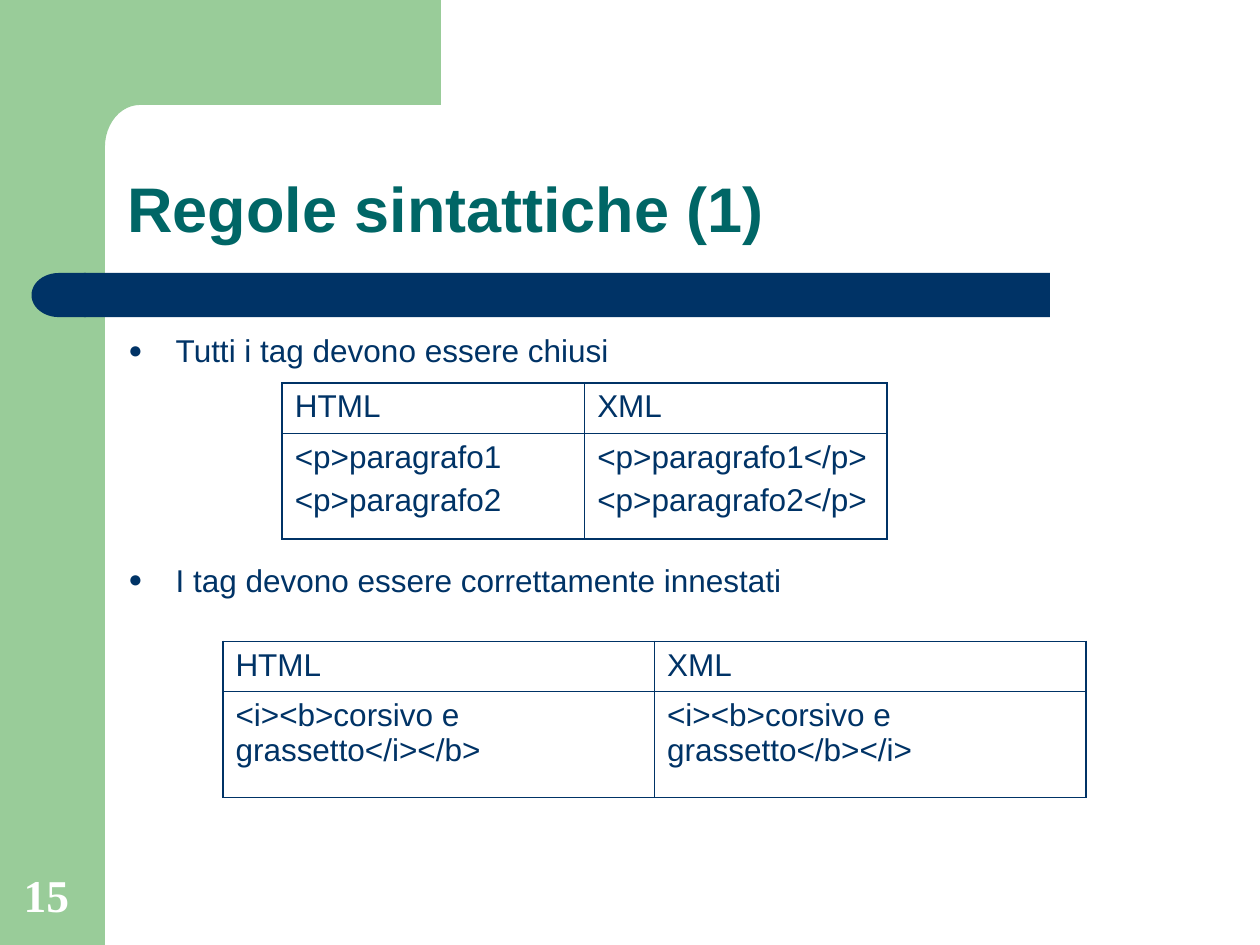
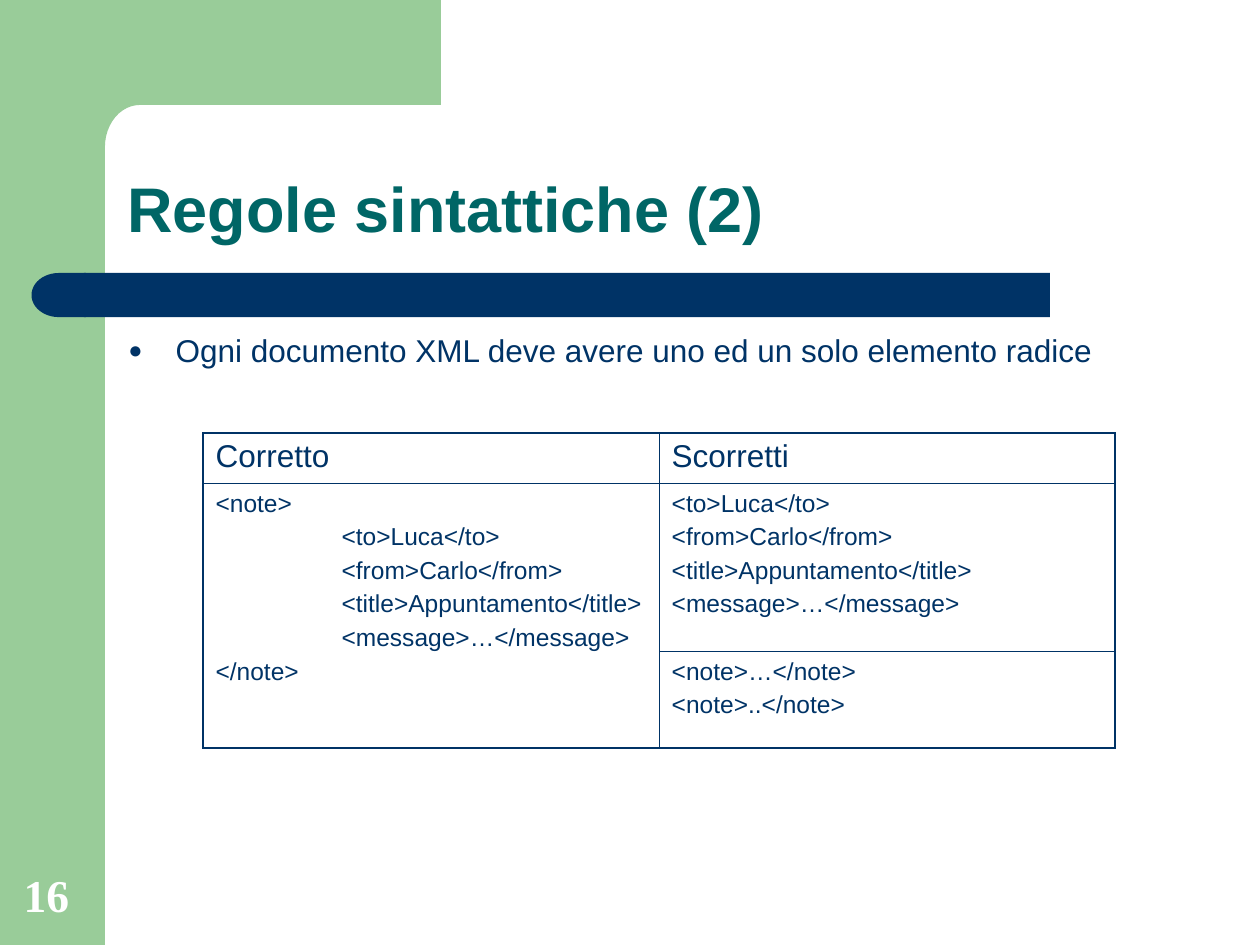
"""Build two slides on XML syntax rules with a shared green and navy frame."""

from dataclasses import dataclass
from math import cos, pi, sin
from typing import NamedTuple

from lxml.etree import SubElement
from pptx import Presentation
from pptx.dml.color import RGBColor
from pptx.enum.shapes import MSO_CONNECTOR, MSO_SHAPE
from pptx.enum.text import MSO_ANCHOR, MSO_AUTO_SIZE, PP_ALIGN
from pptx.oxml import parse_xml
from pptx.oxml.ns import nsdecls, qn
from pptx.util import Pt

GREEN = RGBColor(0x99, 0xCC, 0x99)
NAVY = RGBColor(0x00, 0x33, 0x66)
TEAL = RGBColor(0x00, 0x66, 0x66)
WHITE = RGBColor(0xFF, 0xFF, 0xFF)

OUTER_BORDER = 1.08
INNER_BORDER = 0.45
HEADER_HEIGHT = 28.8
BULLET_INDENT = 27


class Box(NamedTuple):
    left: float
    top: float
    width: float
    height: float

    def points(self) -> list:
        return [Pt(length) for length in self]


class Style(NamedTuple):
    size: float
    color: RGBColor = NAVY
    bold: bool = False
    font: str = "Arial"


@dataclass(frozen=True)
class Line:
    text: str
    space_before: float = 4.5
    indent: float = 0


@dataclass(frozen=True)
class Comparison:
    box: Box
    headings: tuple[str, str]
    examples: tuple[list[Line], list[Line]]
    example_size: float = 18


@dataclass(frozen=True)
class RuleSlide:
    number: int
    title: str
    rules: list[Line]
    comparisons: list[Comparison]
    divider: tuple[float, float, float] | None = None


TITLE_STYLE = Style(36, TEAL, True)
TEXT_STYLE = Style(18)
NUMBER_STYLE = Style(26, WHITE, True, "Times New Roman")

TITLE_BOX = Box(65.5, 65.5, 612.7, 78.5)
RULES_BOX = Box(66.2, 185.8, 594.7, 293)
NUMBER_BOX = Box(6.5, 491.8, 46.1, 38.2)
FRAME = [
    (MSO_SHAPE.RECTANGLE, Box(0, 0, 60, 540), GREEN, 0),
    (MSO_SHAPE.RECTANGLE, Box(48, 156, 552, 25.2), NAVY, 0),
    (MSO_SHAPE.FLOWCHART_DELAY, Box(18, 156, 31, 25.2), NAVY, 180),
]


def code(*texts: str, indent: float = 0) -> list[Line]:
    return [Line(text, 3.5, indent) for text in texts]


NOTE_FIELDS = (
    "<to>Luca</to>",
    "<from>Carlo</from>",
    "<title>Appuntamento</title>",
    "<message>…</message>",
)

SLIDES = [
    RuleSlide(
        15,
        "Regole sintattiche (1)",
        [
            Line("Tutti i tag devono essere chiusi"),
            Line("I tag devono essere correttamente innestati", 109.5),
        ],
        [
            Comparison(
                Box(161.3, 218.9, 345.6, 89.3),
                ("HTML", "XML"),
                (
                    [Line("<p>paragrafo1"), Line("<p>paragrafo2")],
                    [Line("<p>paragrafo1</p>"), Line("<p>paragrafo2</p>")],
                ),
            ),
            Comparison(
                Box(127.4, 366.5, 493.2, 89.3),
                ("HTML", "XML"),
                (
                    [Line("<i><b>corsivo e grassetto</i></b>")],
                    [Line("<i><b>corsivo e grassetto</b></i>")],
                ),
            ),
        ],
    ),
    RuleSlide(
        16,
        "Regole sintattiche (2)",
        [Line("Ogni documento XML deve avere uno ed un solo elemento radice")],
        [
            Comparison(
                Box(116, 247.5, 521.3, 180),
                ("Corretto", "Scorretti"),
                (
                    code("<note>") + code(*NOTE_FIELDS, indent=72) + code("</note>"),
                    code(*NOTE_FIELDS)
                    + [Line("<note>…</note>", 22.7)]
                    + code("<note>..</note>"),
                ),
                14,
            )
        ],
        (377.3, 637.9, 372.2),
    ),
]


def write_lines(frame, lines: list[Line], style: Style) -> None:
    for index, line in enumerate(lines):
        paragraph = frame.add_paragraph() if index else frame.paragraphs[0]
        layout = {
            "alignment": PP_ALIGN.LEFT,
            "space_before": Pt(line.space_before),
            "line_spacing": 1.0,
        }
        for name, value in layout.items():
            setattr(paragraph, name, value)
        properties = paragraph._p.get_or_add_pPr()
        properties.set("marL", str(Pt(line.indent)))
        properties.set("indent", "0")
        run = paragraph.add_run()
        run.text = line.text
        look = {"name": style.font, "size": Pt(style.size), "bold": style.bold}
        for name, value in look.items():
            setattr(run.font, name, value)
        run.font.color.rgb = style.color


def set_frame(frame, anchor: MSO_ANCHOR) -> None:
    values = {
        "word_wrap": True,
        "auto_size": MSO_AUTO_SIZE.NONE,
        "vertical_anchor": anchor,
        "margin_left": Pt(7.2),
        "margin_right": Pt(7.2),
        "margin_top": Pt(3.6),
        "margin_bottom": Pt(3.6),
    }
    for name, value in values.items():
        setattr(frame, name, value)


def place(shape, box: Box) -> None:
    for name, value in zip(("left", "top", "width", "height"), box.points()):
        setattr(shape, name, value)


def add_bullet(paragraph) -> None:
    properties = paragraph._p.get_or_add_pPr()
    properties.set("marL", str(Pt(BULLET_INDENT)))
    properties.set("indent", str(-Pt(BULLET_INDENT)))
    color = SubElement(properties, qn("a:buClr"))
    SubElement(color, qn("a:srgbClr"), val=str(NAVY))
    SubElement(properties, qn("a:buSzPct"), val="75000")
    SubElement(properties, qn("a:buFont"), typeface="Arial")
    SubElement(properties, qn("a:buChar"), char="●")


def paint(shape, color: RGBColor) -> None:
    shape.shadow.inherit = False
    shape.fill.solid()
    shape.fill.fore_color.rgb = color
    shape.line.fill.background()


def draw_frame(slide) -> None:
    for kind, box, color, rotation in FRAME:
        part = slide.shapes.add_shape(kind, *box.points())
        part.rotation = rotation
        paint(part, color)
    angles = [step * pi / 24 for step in range(13)]
    curve = [(80 - 20 * sin(angle), 84 - 24 * cos(angle)) for angle in angles]
    outline = [(252, 60), *curve, (60, 92), (36, 92), (36, 0)]
    corner = slide.shapes.build_freeform(Pt(252), 0, scale=1.0)
    corner.add_line_segments([(Pt(x), Pt(y)) for x, y in outline])
    paint(corner.convert_to_shape(), GREEN)


def set_borders(cell, row: int, column: int) -> None:
    outer_sides = {"L": column == 0, "R": column == 1, "T": row == 0, "B": row == 1}
    properties = cell._tc.get_or_add_tcPr()
    for position, (side, is_outer) in enumerate(outer_sides.items()):
        width = Pt(OUTER_BORDER if is_outer else INNER_BORDER)
        border = parse_xml(
            f'<a:ln{side} {nsdecls("a")} w="{width}"><a:solidFill>'
            f'<a:srgbClr val="{NAVY}"/></a:solidFill></a:ln{side}>'
        )
        properties.insert(position, border)


def draw_comparison(slide, comparison: Comparison) -> None:
    table = slide.shapes.add_table(2, 2, *comparison.box.points()).table
    for name in ("first_row", "horz_banding"):
        setattr(table, name, False)
    table.rows[0].height = Pt(HEADER_HEIGHT)
    table.rows[1].height = Pt(comparison.box.height - HEADER_HEIGHT)
    example_style = Style(comparison.example_size)
    for column in range(2):
        contents = (
            ([Line(comparison.headings[column])], TEXT_STYLE),
            (comparison.examples[column], example_style),
        )
        for row, (lines, style) in enumerate(contents):
            cell = table.cell(row, column)
            cell.fill.background()
            set_borders(cell, row, column)
            write_lines(cell.text_frame, lines, style)


def draw_divider(slide, left: float, right: float, y: float) -> None:
    divider = slide.shapes.add_connector(
        MSO_CONNECTOR.STRAIGHT, Pt(left), Pt(y), Pt(right), Pt(y)
    )
    divider.line.color.rgb = NAVY
    divider.line.width = Pt(0.75)
    SubElement(divider._element.spPr, qn("a:effectLst"))


def build_slide(presentation, content: RuleSlide) -> None:
    slide = presentation.slides.add_slide(presentation.slide_layouts[1])
    draw_frame(slide)
    title, rules = slide.shapes.title, slide.placeholders[1]
    place(title, TITLE_BOX)
    place(rules, RULES_BOX)
    number = slide.shapes.add_textbox(*NUMBER_BOX.points())
    texts = (
        (title, MSO_ANCHOR.BOTTOM, [Line(content.title, 0)], TITLE_STYLE),
        (rules, MSO_ANCHOR.TOP, content.rules, TEXT_STYLE),
        (number, MSO_ANCHOR.BOTTOM, [Line(str(content.number), 0)], NUMBER_STYLE),
    )
    for shape, anchor, lines, style in texts:
        set_frame(shape.text_frame, anchor)
        write_lines(shape.text_frame, lines, style)
    title.text_frame.paragraphs[0].line_spacing = 0.9
    for paragraph in rules.text_frame.paragraphs:
        add_bullet(paragraph)
    for comparison in content.comparisons:
        draw_comparison(slide, comparison)
    if content.divider:
        draw_divider(slide, *content.divider)


def main() -> None:
    presentation = Presentation()
    presentation.slide_width = Pt(720)
    presentation.slide_height = Pt(540)
    for content in SLIDES:
        build_slide(presentation, content)
    presentation.save("out.pptx")


if __name__ == "__main__":
    main()
